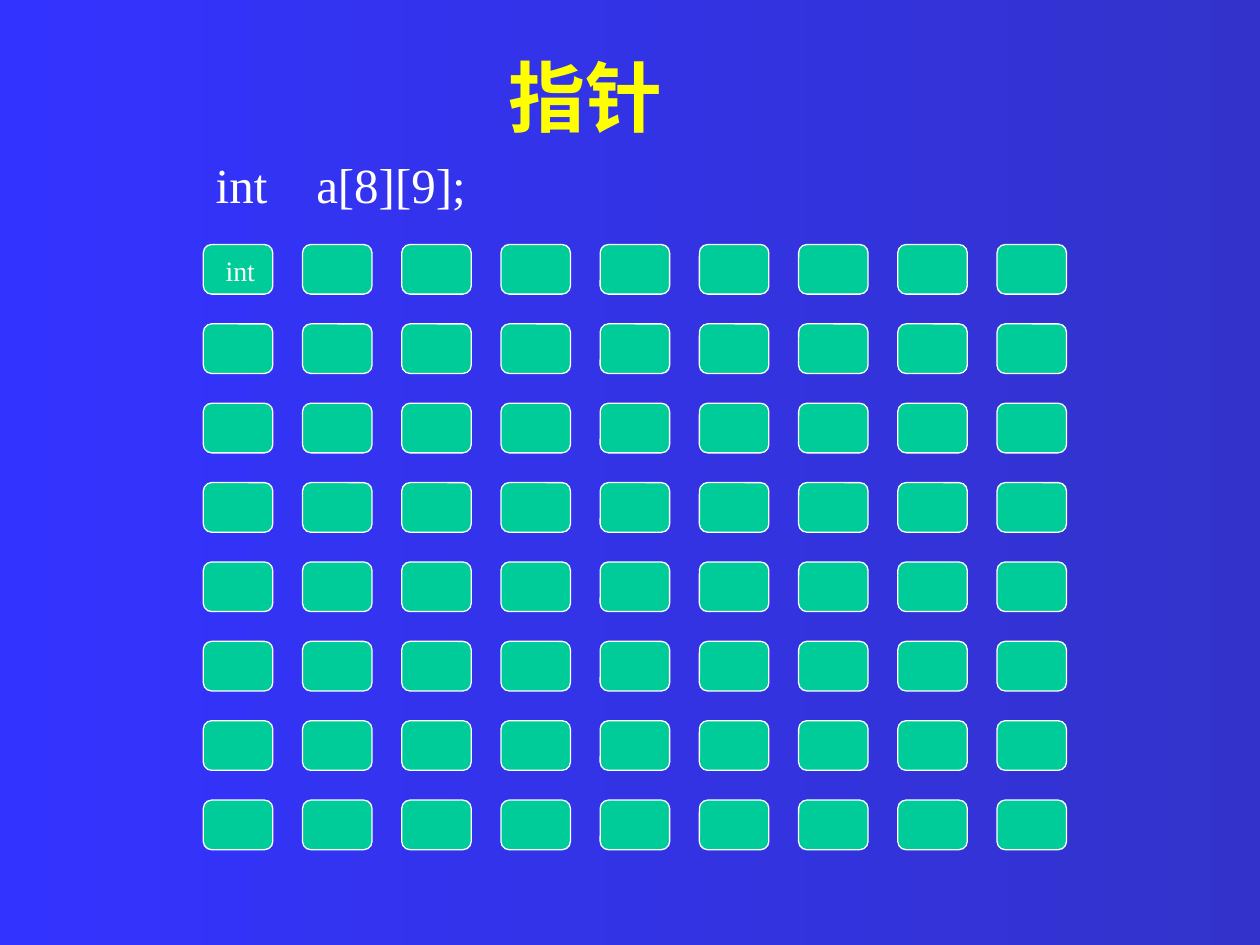
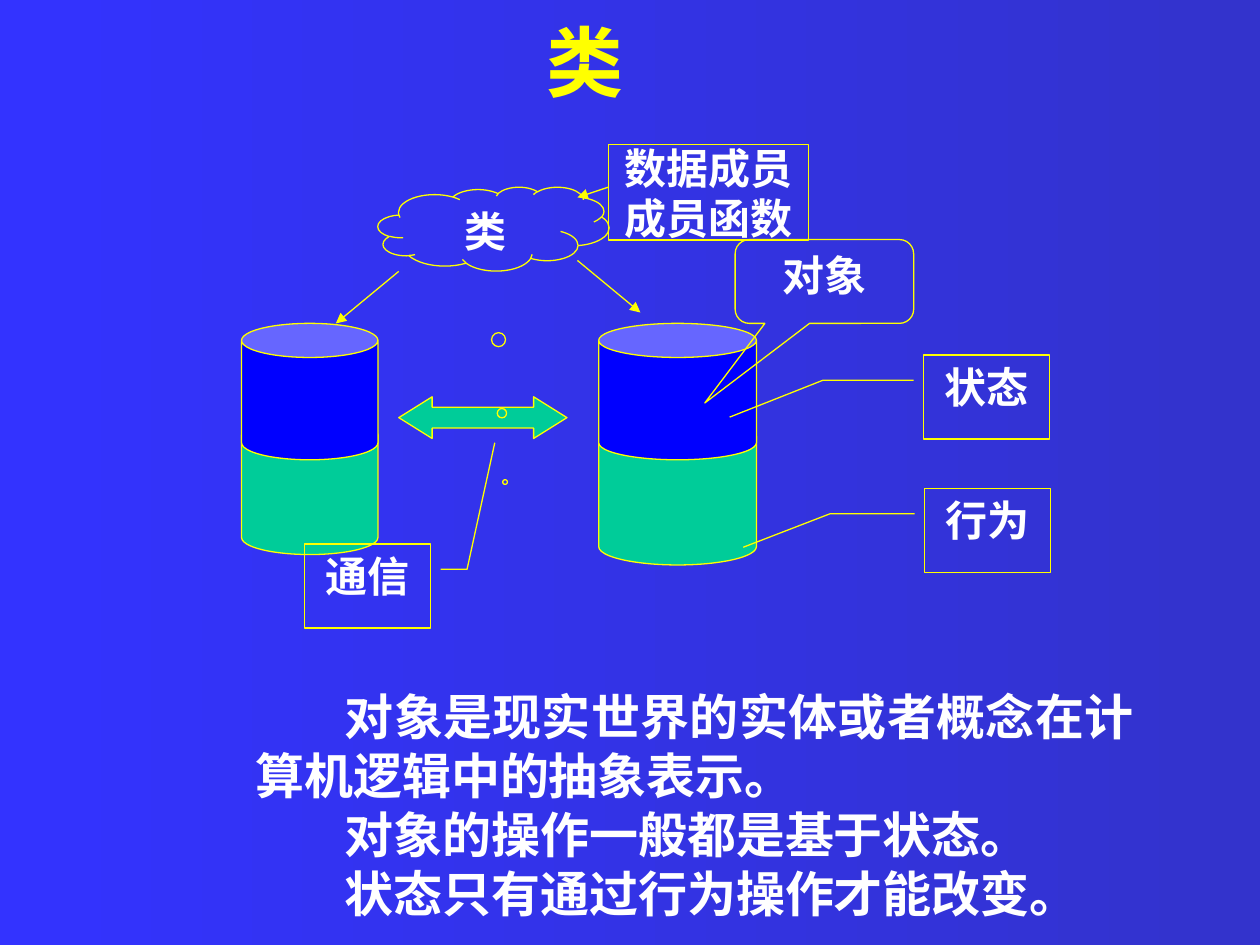
from lxml.etree import SubElement
from pptx import Presentation
from pptx.dml.color import RGBColor
from pptx.enum.shapes import MSO_CONNECTOR, MSO_SHAPE as Kind
from pptx.enum.text import MSO_ANCHOR as Anchor, PP_ALIGN as Align
from pptx.oxml.ns import qn
from pptx.util import Cm, Pt

rgb = RGBColor.from_string
WHITE, YELLOW, GREEN, BLUE = "FFFFFF", "FFFF00", "00CC99", "0000FF"
FONT = "Times New Roman"
LINE_WIDTH = Pt(0.75)


def draw(slide, kind, box, line=YELLOW, fill=None, adjust=()):
    """Add a preset shape; box is left, top, width, height in centimetres."""
    shape = slide.shapes.add_shape(kind, *map(Cm, box))
    shape.shadow.inherit = False
    if fill:
        shape.fill.solid()
        shape.fill.fore_color.rgb = rgb(fill)
    else:
        shape.fill.background()
    shape.line.color.rgb = rgb(line)
    shape.line.width = LINE_WIDTH
    for index, value in enumerate(adjust):
        shape.adjustments[index] = value
    return shape


def write(shape, text, size=24, color=WHITE, bold=True, align=Align.CENTER,
          anchor=Anchor.TOP, wrap=True, first_indent=0):
    """Fill a shape with text, one paragraph for each line."""
    frame = shape.text_frame
    frame.text = text
    frame.word_wrap = wrap
    frame.vertical_anchor = anchor
    for paragraph in frame.paragraphs:
        paragraph.alignment = align
        if first_indent:
            properties = paragraph._p.get_or_add_pPr()
            properties.set("marL", "0")
            properties.set("indent", str(Cm(first_indent)))
        for run in paragraph.runs:
            run.font.name = FONT
            run.font.size = Pt(size)
            run.font.bold = bold
            run.font.color.rgb = rgb(color)
    return frame


deck = Presentation()
deck.slide_width, deck.slide_height = Cm(25.4), Cm(19.05)

# Shared left-to-right gradient
backdrop = deck.slide_master.background.fill
backdrop.gradient()
backdrop.gradient_angle = 0
for stop, position, color in zip(backdrop.gradient_stops, (0, 1), ("3333FF", "3333CC")):
    stop.position = position
    stop.color.rgb = rgb(color)

# Both slides with their titles
slides = []
for heading, height in (("指针", 3.18), ("类", 1.8)):
    slide = deck.slides.add_slide(deck.slide_layouts[6])
    title = slide.shapes.add_textbox(Cm(-0.71), Cm(0.33), Cm(25.4), Cm(height))
    write(title, heading, size=44, color=YELLOW, anchor=Anchor.MIDDLE).margin_right = Cm(0.64)
    slides.append(slide)
pointer_slide, class_slide = slides

# Slide 1: the array as a grid of cells
ROWS, COLUMNS = 8, 9
for row in range(ROWS):
    for column in range(COLUMNS):
        cell = draw(pointer_slide, Kind.ROUNDED_RECTANGLE,
                    (4.1 + 2 * column, 4.93 + 1.6 * row, 1.4, 1), WHITE, GREEN)
        if row == column == 0:
            label = write(cell, "int", size=16, bold=False, align=Align.LEFT)
            label.margin_left = Cm(0.4)

declaration = pointer_slide.shapes.add_textbox(Cm(4.1), Cm(3), Cm(17.45), Cm(1.45))
write(declaration, "int    a[8][9];", size=28, bold=False, align=Align.LEFT)

# Slide 2: two objects, each with behaviour below and state above
for left, width, behaviour_height in ((4.87, 2.75, 2.75), (12.07, 3.18, 2.96)):
    draw(class_slide, Kind.CAN, (left, 8.43, width, behaviour_height), fill=GREEN)
    draw(class_slide, Kind.CAN, (left, 6.52, width, 2.75), fill=BLUE)
draw(class_slide, Kind.LEFT_RIGHT_ARROW, (8.04, 8, 3.39, 0.84), fill=GREEN, adjust=(0.5, 0.8))

callouts = (
    ("类", Kind.CLOUD_CALLOUT, (7.62, 3.77, 4.66, 1.69), (0.05, 3.02)),
    ("对象", Kind.ROUNDED_RECTANGULAR_CALLOUT, (14.82, 4.83, 3.6, 1.69), (-0.67, 1.45, 0.17)),
    ("状态", Kind.LINE_CALLOUT_2, (18.62, 7.16, 2.54, 1.69),
     (0.3, -0.08, 0.3, -0.8, 0.74, -1.54)),
    ("行为", Kind.LINE_CALLOUT_2, (18.64, 9.85, 2.54, 1.69),
     (0.3, -0.08, 0.3, -0.75, 0.7, -1.44)),
    ("通信", Kind.LINE_CALLOUT_2, (6.14, 10.97, 2.54, 1.69),
     (0.3, 1.08, 0.3, 1.29, -1.21, 1.51)),
)
for text, kind, box, adjust in callouts:
    write(draw(class_slide, kind, box, adjust=adjust), text)

members = draw(class_slide, Kind.RECTANGLE, (12.27, 2.92, 4.03, 1.92))
write(members, "数据成员\n成员函数", anchor=Anchor.MIDDLE, wrap=False)

# Arrows from the class to its objects, and from the members to the class
for ends in ((8.04, 5.47, 6.77, 6.52), (11.64, 5.25, 12.91, 6.3), (12.27, 3.77, 11.64, 3.98)):
    arrow = class_slide.shapes.add_connector(MSO_CONNECTOR.STRAIGHT, *map(Cm, ends))
    arrow.line.color.rgb = rgb(YELLOW)
    arrow.line.width = LINE_WIDTH
    properties = arrow._element.spPr
    SubElement(properties.find(qn("a:ln")), qn("a:tailEnd"), type="triangle")
    SubElement(properties, qn("a:effectLst"))

explanation = class_slide.shapes.add_textbox(Cm(4.9), Cm(13.72), Cm(18.21), Cm(5))
write(explanation,
      "对象是现实世界的实体或者概念在计算机逻辑中的抽象表示。\n"
      "对象的操作一般都是基于状态。\n"
      "状态只有通过行为操作才能改变。",
      size=28, align=Align.JUSTIFY, first_indent=1.8)

deck.save("out.pptx")
